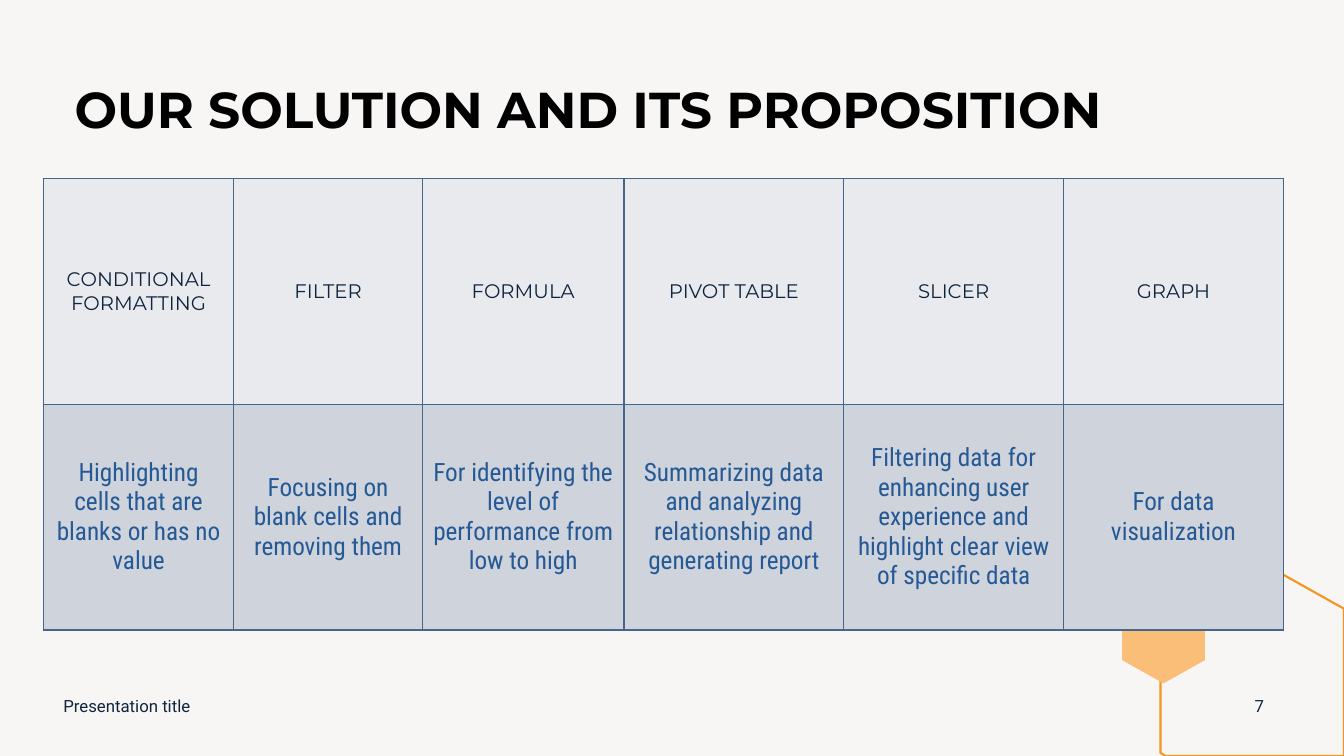
from lxml.etree import SubElement
from pptx import Presentation
from pptx.dml.color import RGBColor
from pptx.enum.text import MSO_ANCHOR, MSO_AUTO_SIZE, PP_ALIGN
from pptx.oxml.ns import qn
from pptx.util import Inches, Pt

HEADINGS = ["CONDITIONAL FORMATTING", "FILTER", "FORMULA", "PIVOT TABLE", "SLICER", "GRAPH"]
PURPOSES = [
    "Highlighting cells that are blanks or has no value",
    "Focusing on blank cells and removing them",
    "For identifying the level of performance from low to high",
    "Summarizing data and analyzing relationship and generating report",
    "Filtering data for enhancing user experience and highlight clear view of specific data",
    "For data visualization",
]
COLUMN_WIDTHS = [1.89, 1.87, 2, 2.18, 2.18, 2.18]
ROW_HEIGHT = 2.24

TITLE_FONT = {"name": "Montserrat", "size": Pt(36), "bold": True}
HEADING_FONT = {"name": "Montserrat", "size": Pt(14), "bold": False}
PURPOSE_FONT = {"name": "Roboto Condensed", "size": Pt(18), "bold": False}
FOOTER_FONT = {"name": "Roboto", "size": Pt(12)}


def color(hex_value):
    return RGBColor.from_string(hex_value)


class SolutionSlide:
    navy, blue, border = "0F253E", "245995", "44668D"
    orange, peach, paper = "F79320", "FABE79", "F8F6F5"

    def __init__(self, presentation):
        self.slide = presentation.slides.add_slide(presentation.slide_layouts[5])
        background = self.slide.background.fill
        background.solid()
        background.fore_color.rgb = color(self.paper)

    def add_text(self, frame, text, font, font_color, alignment):
        paragraph = frame.paragraphs[0]
        paragraph.alignment = alignment
        run = paragraph.add_run()
        run.text = text
        for attribute, value in font.items():
            setattr(run.font, attribute, value)
        run.font.color.rgb = color(font_color)
        return paragraph

    def title(self, text, left, top, width, height):
        shape = self.slide.shapes.title
        shape.left, shape.top = Inches(left), Inches(top)
        shape.width, shape.height = Inches(width), Inches(height)
        frame = shape.text_frame
        frame.auto_size = MSO_AUTO_SIZE.NONE
        frame.vertical_anchor = MSO_ANCHOR.TOP
        paragraph = self.add_text(frame, text, TITLE_FONT, "000000", PP_ALIGN.LEFT)
        paragraph.line_spacing = 0.9

    def outline(self, points, fill=None, line=None):
        corners = [(Inches(x), Inches(y)) for x, y in points]
        builder = self.slide.shapes.build_freeform(*corners[0], scale=1.0)
        builder.add_line_segments(corners[1:], close=True)
        shape = builder.convert_to_shape()
        shape.shadow.inherit = False
        if fill:
            shape.fill.solid()
            shape.fill.fore_color.rgb = color(fill)
        else:
            shape.fill.background()
        if line:
            shape.line.color.rgb = color(line)
            shape.line.width = Pt(1.5)
        else:
            shape.line.fill.background()

    def text_box(self, text, left, top, width, height, alignment):
        box = self.slide.shapes.add_textbox(
            Inches(left), Inches(top), Inches(width), Inches(height))
        frame = box.text_frame
        frame.word_wrap = True
        frame.vertical_anchor = MSO_ANCHOR.MIDDLE
        self.add_text(frame, text, FOOTER_FONT, self.navy, alignment)

    def cell_borders(self, cell):
        properties = cell._tc.get_or_add_tcPr()
        # Borders must precede the fill inside the cell properties
        for position, side in enumerate(("lnL", "lnR", "lnT", "lnB")):
            line = SubElement(properties, qn(f"a:{side}"), w=str(Pt(1)))
            solid = SubElement(line, qn("a:solidFill"))
            SubElement(solid, qn("a:srgbClr"), val=self.border)
            properties.insert(position, line)

    def table(self, rows, left, top):
        table = self.slide.shapes.add_table(
            len(rows), len(COLUMN_WIDTHS), Inches(left), Inches(top),
            Inches(sum(COLUMN_WIDTHS)), Inches(ROW_HEIGHT * len(rows))).table
        table.first_row = table.horz_banding = False
        for column, width in zip(table.columns, COLUMN_WIDTHS):
            column.width = Inches(width)
        for row, (texts, font, font_color, fill) in zip(table.rows, rows):
            row.height = Inches(ROW_HEIGHT)
            for cell, text in zip(row.cells, texts):
                cell.fill.solid()
                cell.fill.fore_color.rgb = color(fill)
                cell.vertical_anchor = MSO_ANCHOR.MIDDLE
                self.cell_borders(cell)
                self.add_text(cell.text_frame, text, font, font_color, PP_ALIGN.CENTER)


def main():
    presentation = Presentation()
    presentation.slide_width, presentation.slide_height = Inches(13.33), Inches(7.5)
    page = SolutionSlide(presentation)

    # Corner hexagons
    page.outline([(12.6, 5.63), (13.33, 6.04), (13.33, 7.5), (11.56, 7.5),
                  (11.51, 7.47), (11.51, 6.25)], line=page.orange)
    page.outline([(11.54, 5.85), (11.95, 6.08), (11.95, 6.55), (11.54, 6.78),
                  (11.13, 6.55), (11.13, 6.08)], fill=page.peach)

    # Title and table
    page.title("OUR SOLUTION AND ITS PROPOSITION", 0.64, 0.79, 11.91, 1.55)
    page.table([(HEADINGS, HEADING_FONT, page.navy, "E9EAEE"),
                (PURPOSES, PURPOSE_FONT, page.blue, "CFD3DB")], 0.43, 1.77)

    # Footer
    page.text_box("Presentation title", 0.53, 6.8, 4.5, 0.4, PP_ALIGN.LEFT)
    page.text_box("7", 12.24, 6.8, 0.5, 0.4, PP_ALIGN.CENTER)

    presentation.save("out.pptx")


if __name__ == "__main__":
    main()
